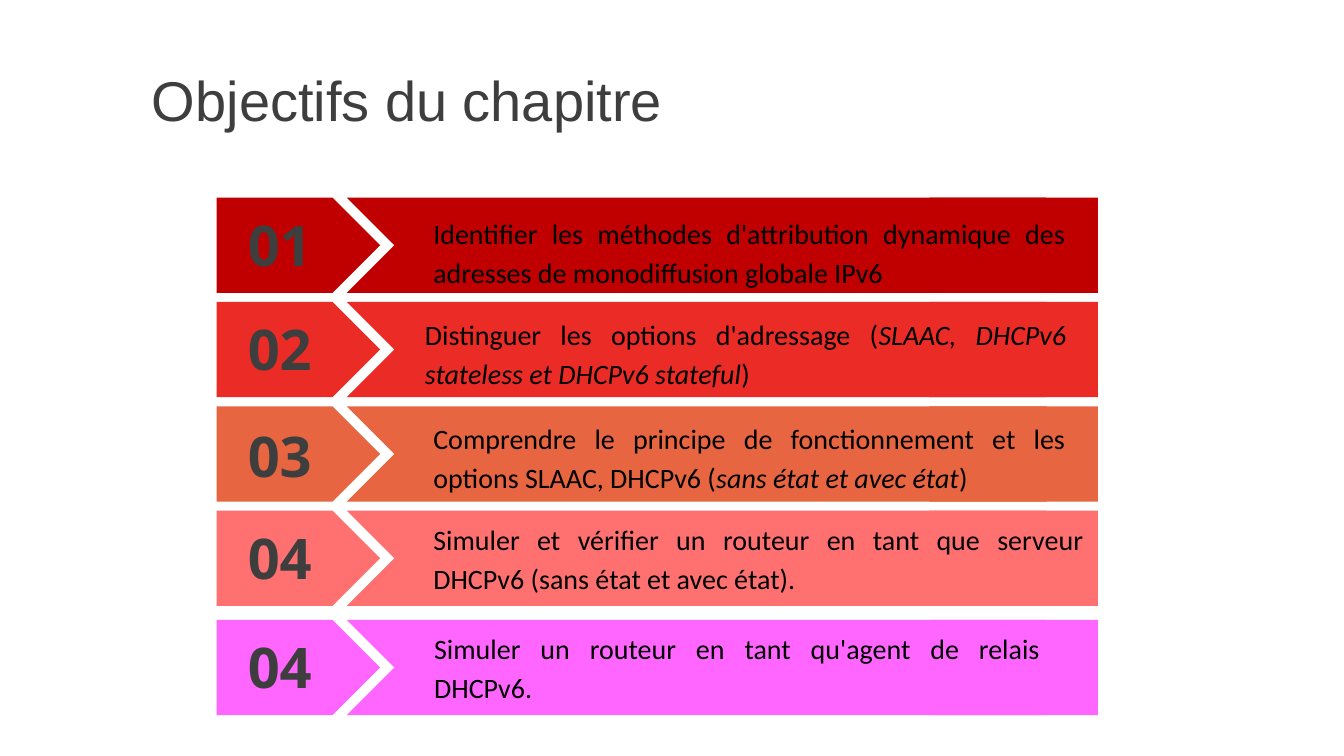
from pptx import Presentation
from pptx.dml.color import RGBColor
from pptx.enum.shapes import MSO_SHAPE
from pptx.enum.text import MSO_ANCHOR, PP_ALIGN
from pptx.util import Cm, Pt

TITLE = "Objectifs du chapitre"
GREY, BLACK = "3E3E3E", "000000"

# number, colour, runs (text, italic), number offset in the row,
# text box (left, offset in the row, width); all in cm
OBJECTIVES = [
    ("01", "C00000",
     [("Identifier les méthodes d'attribution dynamique des adresses de "
       "monodiffusion globale IPv6", False)],
     0.2, (10.67, 0.23, 16.43)),
    ("02", "EA2B26",
     [("Distinguer les options d'adressage (", False),
      ("SLAAC, DHCPv6 stateless et DHCPv6 stateful", True), (")", False)],
     0.2, (10.46, 0.15, 16.66)),
    ("03", "E76541",
     [("Comprendre le principe de fonctionnement et les options SLAAC, "
       "DHCPv6 (", False),
      ("sans état et avec état", True), (")", False)],
     0.25, (10.67, 0.13, 16.43)),
    ("04", "FF7171",
     [("Simuler et vérifier un routeur en tant que serveur DHCPv6 "
       "(sans état et avec état).", False)],
     0.2, (10.67, 0.05, 16.89)),
    ("04", "FF66FF",
     [("Simuler un routeur en tant qu'agent de relais DHCPv6.", False)],
     0.2, (10.69, 0.05, 15.77)),
]
FIRST_TOP, PITCH, ROW_H = 4.98, 2.63, 2.4
LAST_GAP = 0.12  # extra space above the last row
# preset, left, width of the parts of a band
BAND = [
    (MSO_SHAPE.PENTAGON, 5.46, 4.12),
    (MSO_SHAPE.CHEVRON, 8.74, 18.82),
    (MSO_SHAPE.RECTANGLE, 23.42, 4.25),
]


def rgb(colour):
    return RGBColor.from_string(colour)


def add_band(slide, top, colour):
    for preset, left, width in BAND:
        sp = slide.shapes.add_shape(preset, Cm(left), Cm(top), Cm(width), Cm(ROW_H))
        sp.shadow.inherit = False
        sp.fill.solid()
        sp.fill.fore_color.rgb = rgb(colour)
        sp.line.fill.background()


def add_text(slide, box, runs, font, size, colour, align, spacing=1.0, bold=False):
    """Add a one-paragraph text box; runs are (text, italic) pairs."""
    tf = slide.shapes.add_textbox(*map(Cm, box)).text_frame
    tf.word_wrap = True
    p = tf.paragraphs[0]
    p.alignment = align
    p.line_spacing = spacing
    for text, italic in runs:
        r = p.add_run()
        r.text = text
        r.font.name = font
        r.font.size = Pt(size)
        r.font.bold = bold
        r.font.italic = italic
        r.font.color.rgb = rgb(colour)
    return tf


def main():
    prs = Presentation()
    prs.slide_width, prs.slide_height = Cm(33.87), Cm(19.05)
    slide = prs.slides.add_slide(prs.slide_layouts[6])

    title = add_text(slide, (3.58, 1.02, 22.86, 3.18), [(TITLE, False)],
                     "Arial", 40, GREY, PP_ALIGN.LEFT, 0.9)
    title.vertical_anchor = MSO_ANCHOR.MIDDLE

    last = len(OBJECTIVES) - 1
    for i, (number, colour, runs, number_dy, text_box) in enumerate(OBJECTIVES):
        top = FIRST_TOP + i * PITCH + (LAST_GAP if i == last else 0)
        left, text_dy, width = text_box
        add_band(slide, top, colour)
        add_text(slide, (5.64, top + number_dy, 2.82, 1.96), [(number, False)],
                 "Open Sans", 40, GREY, PP_ALIGN.CENTER, bold=True)
        add_text(slide, (left, top + text_dy, width, 2.16), runs,
                 "Calibri", 20, BLACK, PP_ALIGN.JUSTIFY, 1.15)

    prs.save("out.pptx")


if __name__ == "__main__":
    main()
